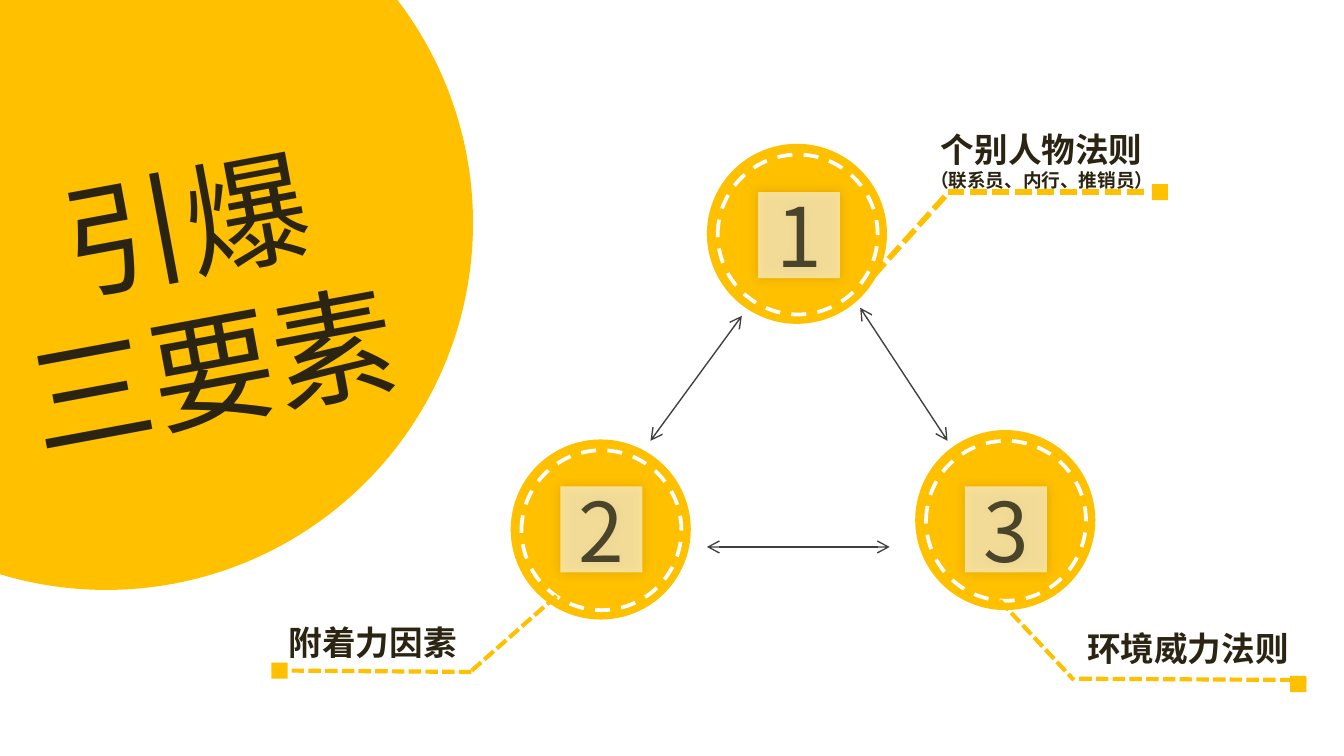
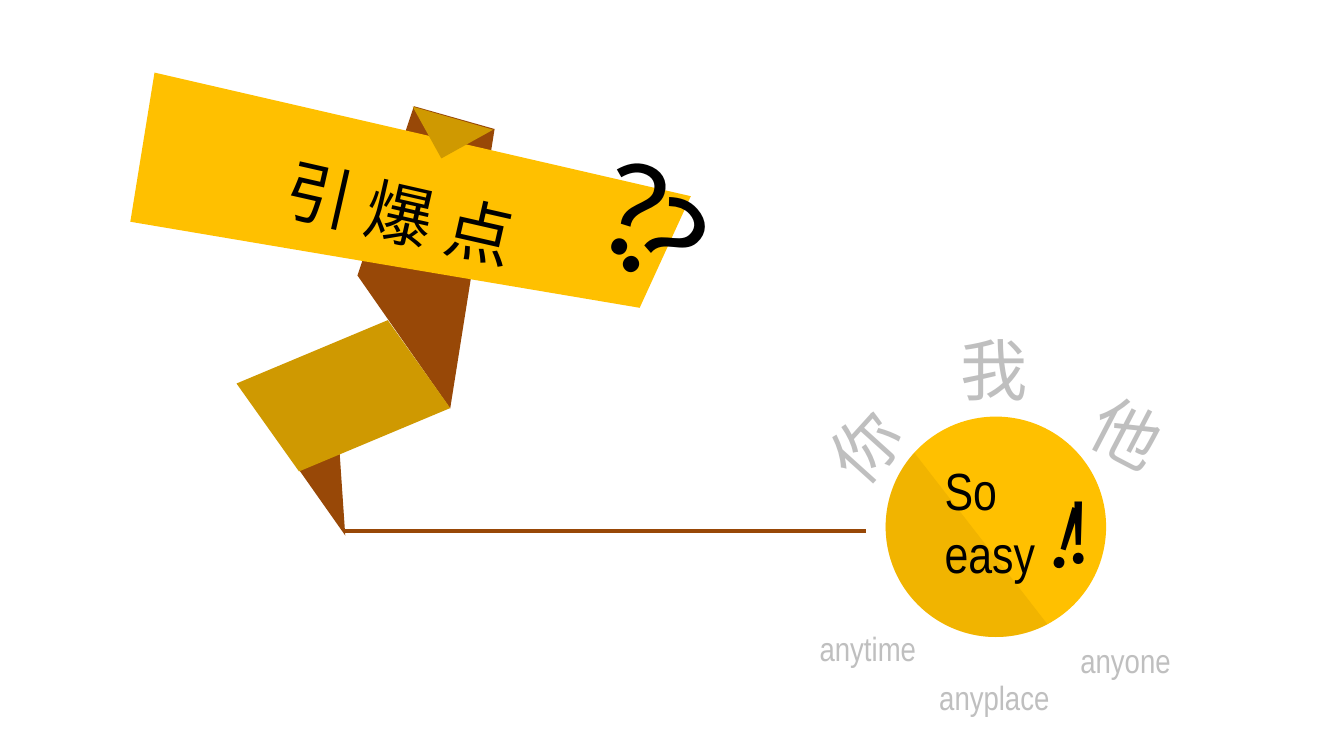
import pptx
import pptx.dml.color
import pptx.enum.dml
import pptx.enum.shapes
import pptx.enum.text
import pptx.oxml.ns
import pptx.util
from dataclasses import dataclass
from lxml import etree

PX = 9144  # EMU per px, 100 px to the inch
SLIDE_WIDTH = 1000  # px, at 16:9
MSO = pptx.enum.shapes.MSO_SHAPE
DASH = pptx.enum.dml.MSO_LINE
ALIGN = pptx.enum.text.PP_ALIGN
ANCHOR = pptx.enum.text.MSO_ANCHOR
qn = pptx.oxml.ns.qn


@dataclass(frozen=True)
class Theme:
    gold: str = "FFC000"
    ochre: str = "CF9901"
    brown: str = "984807"
    white: str = "FFFFFF"
    black: str = "000000"
    ink: str = "2B2412"
    olive: str = "4A452A"
    arrow: str = "404040"
    grey: str = "BFBFBF"
    hanzi: str = "Noto Sans CJK SC"
    latin: str = "Arial Narrow"
    huge: int = 66
    large: int = 44
    title: int = 36
    medium: int = 28
    label: int = 18
    note: int = 10


T = Theme()

# Text styles: size, colour, font, bold
HEADLINE = dict(size=T.huge, color=T.ink)
LABEL = dict(size=T.label, color=T.ink, bold=True)
NOTE = dict(LABEL, size=T.note)
NUMBER = dict(size=T.large, color=T.olive)
RIBBON_TITLE = dict(size=T.title, color=T.black)
QUESTION = dict(size=T.huge, color=T.black)
EXCLAIM = dict(size=T.large, color=T.black)
PERSON = dict(size=T.title, color=T.grey)
ANY_WORD = dict(size=T.label, color=T.grey, font=T.latin)
EASY = dict(size=T.medium, color=T.black, font=T.latin)

# ---- Content of slide 1: three elements ----
HEADLINE_LINES = ["引爆", "三要素"]
HEADLINE_BOX = (-1, 104, 298, 232)
BIG_CIRCLE = (-194, -107, 546, 546)
DISC, RING, RING_INSET = 134, 119, 8
NUMBER_SIZE = (61, 64)
ELEMENTS = [  # number, disc corner, number corner
    ("1", (526, 107), (564, 143)),
    ("2", (380, 327), (417, 362)),
    ("3", (681, 320), (718, 362)),
]
CALLOUTS = [  # lines of text, box, alignment, leader points, width, end square
    ([("个别人物法则", LABEL), ("（联系员、内行、推销员）", NOTE)], (681, 91, 188, 57),
     ALIGN.CENTER, [(650, 205, 705, 144), (705, 143, 854, 143)], 3, (857, 137)),
    ([("附着力因素", LABEL)], (205, 458, 146, 40),
     ALIGN.LEFT, [(217, 499, 351, 500), (351, 499, 427, 432)], 2.25, (202, 493)),
    ([("环境威力法则", LABEL)], (799, 462, 172, 40),
     ALIGN.LEFT, [(744, 447, 799, 506), (803, 505, 972, 506)], 2.25, (960, 503)),
]
END_SQUARE = 12
ELEMENT_ARROWS = [(484, 328, 552, 235), (526, 407, 662, 407), (640, 229, 705, 328)]

# ---- Content of slide 2: the tipping point ----
RIBBON_WORDS, RIBBON_BOX = "引 爆 点", (186, 123, 223, 71)
RIBBON_TAIL = (182, 284, 71, 117)
RIBBON_BACK = [(308, 79), (266, 205), (335, 304), (368, 96)]
RIBBON_FRONT = [(115, 54), (97, 165), (476, 229), (514, 146)]
RIBBON_CORNER = (315, 66, 44, 44)
RIBBON_FOLD = (202, 235, 107, 119)
GROUND_LINE = (256, 395, 644, 395)
BALL = (659, 310, 164, 164)
BALL_SHADE = (37.28, 133.34)
QUESTION_MARKS = [("？", (439, 94, 62, 121), 17.4), ("？", (461, 116, 62, 121), 48.7)]
PEOPLE = [("你", (609, 296), 312), ("我", (705, 239), 0), ("他", (804, 287), 27.6)]
ANY_WORDS = [("anytime", (600, 462, 105, 40)), ("anyplace", (689, 499, 116, 40)),
             ("anyone", (794, 471, 97, 40))]
EASY_LINES, EASY_BOX = ["So", "easy"], (693, 336, 96, 104)
EXCLAMATIONS = [("!", (774, 361, 62, 84), 17.4), ("!", (783, 353, 62, 84), 0)]


# ---- Helpers ----
def rgb(color):
    return pptx.dml.color.RGBColor.from_string(color)


def emu(lengths):
    return [pptx.util.Emu(n * PX) for n in lengths]


def add_xml(parent, tag, **attributes):
    return etree.SubElement(parent, qn(tag), attributes)


def paint(shape, fill=None, alpha=None, outline=None):
    shape.shadow.inherit = False
    if fill:
        shape.fill.solid()
        shape.fill.fore_color.rgb = rgb(fill)
        if alpha:
            color = shape._element.spPr.find(qn("a:solidFill"))[0]
            add_xml(color, "a:alpha", val=str(alpha * 1000))
    else:
        shape.fill.background()
    if outline:
        shape.line.color.rgb = rgb(outline)
        shape.line.width = pptx.util.Pt(2)
        shape.line.dash_style = DASH.DASH
    else:
        shape.line.fill.background()
    return shape


def draw(slide, kind, box, rotation=0, **look):
    shape = slide.shapes.add_shape(kind, *emu(box))
    shape.rotation = rotation
    return paint(shape, **look)


def draw_outline(slide, points, color):
    builder = slide.shapes.build_freeform(*points[0], scale=PX)
    builder.add_line_segments(points[1:], close=True)
    paint(builder.convert_to_shape(), color)


def draw_line(slide, ends, color, width, dashed=False, arrows=False):
    line = slide.shapes.add_connector(pptx.enum.shapes.MSO_CONNECTOR.STRAIGHT, *emu(ends))
    line.line.color.rgb = rgb(color)
    line.line.width = pptx.util.Pt(width)
    if dashed:
        line.line.dash_style = DASH.SQUARE_DOT
    if arrows:
        for end in ("a:headEnd", "a:tailEnd"):
            add_xml(line.line._get_or_add_ln(), end, type="arrow")
    add_xml(line._element.spPr, "a:effectLst")


def fill_text(shape, lines, align, anchor=ANCHOR.TOP, wrap=False, fit=True):
    frame = shape.text_frame
    sizing = pptx.enum.text.MSO_AUTO_SIZE
    settings = dict(word_wrap=wrap, vertical_anchor=anchor,
                    auto_size=sizing.SHAPE_TO_FIT_TEXT if fit else sizing.NONE)
    for name, value in settings.items():
        setattr(frame, name, value)
    for index, (words, style) in enumerate(lines):
        paragraph = frame.add_paragraph() if index else frame.paragraphs[0]
        paragraph.alignment = align
        run = paragraph.add_run()
        run.text = words
        face = style.get("font", T.hanzi)
        font_format = dict(size=pptx.util.Pt(style["size"]), name=face,
                           bold=style.get("bold", False))
        for name, value in font_format.items():
            setattr(run.font, name, value)
        run.font.color.rgb = rgb(style["color"])
        add_xml(run._r.get_or_add_rPr(), "a:ea", typeface=face)


def write(slide, lines, box, align=ALIGN.LEFT, rotation=0, wrap=False):
    label = slide.shapes.add_textbox(*emu(box))
    label.rotation = rotation
    fill_text(label, lines, align, wrap=wrap)


def place_title(slide, lines, box, rotation):
    title = slide.shapes.title
    slide.shapes._spTree.append(title._element)
    for name, value in zip(("left", "top", "width", "height"), emu(box)):
        setattr(title, name, value)
    title.rotation = rotation
    fill_text(title, lines, ALIGN.CENTER)


# ---- Slides ----
def build_elements(slide):
    for _, (x, y), _ in ELEMENTS:
        draw(slide, MSO.OVAL, (x, y, DISC, DISC), fill=T.gold)
        draw(slide, MSO.OVAL, (x + RING_INSET, y + RING_INSET, RING, RING), outline=T.white)

    # Headline on the big circle
    draw(slide, MSO.OVAL, BIG_CIRCLE, fill=T.gold)
    place_title(slide, [(words, HEADLINE) for words in HEADLINE_LINES], HEADLINE_BOX, 349.5)

    # Callouts with dashed leaders
    for lines, box, align, leader, width, corner in CALLOUTS:
        write(slide, lines, box, align)
        for ends in leader:
            draw_line(slide, ends, T.gold, width, dashed=True)
        draw(slide, MSO.RECTANGLE, (*corner, END_SQUARE, END_SQUARE), fill=T.gold)

    for ends in ELEMENT_ARROWS:
        draw_line(slide, ends, T.arrow, 0.75, arrows=True)

    # Numbers on translucent squares with a soft shadow
    for number, _, corner in ELEMENTS:
        square = draw(slide, MSO.RECTANGLE, (*corner, *NUMBER_SIZE), fill=T.white, alpha=59)
        effects = square._element.spPr.find(qn("a:effectLst"))
        shadow = add_xml(effects, "a:outerShdw", blurRad=str(pptx.util.Pt(6)), dist="0",
                         dir=str(315 * 60000), algn="ctr", rotWithShape="0")
        add_xml(add_xml(shadow, "a:srgbClr", val=T.black), "a:alpha", val="20000")
        fill_text(square, [(number, NUMBER)], ALIGN.CENTER, ANCHOR.MIDDLE, wrap=True, fit=False)


def build_tipping_point(slide):
    # Folded ribbon
    draw(slide, MSO.RIGHT_TRIANGLE, RIBBON_TAIL, 176.1, fill=T.brown)
    draw_outline(slide, RIBBON_BACK, T.brown)
    draw_outline(slide, RIBBON_FRONT, T.gold)
    place_title(slide, [(RIBBON_WORDS, RIBBON_TITLE)], RIBBON_BOX, 12.8)
    draw(slide, MSO.RIGHT_TRIANGLE, RIBBON_CORNER, 331, fill=T.ochre)
    draw(slide, MSO.PARALLELOGRAM, RIBBON_FOLD, 234.6, fill=T.ochre)
    for mark, box, rotation in QUESTION_MARKS:
        write(slide, [(mark, QUESTION)], box, rotation=rotation, wrap=True)
    draw_line(slide, GROUND_LINE, T.brown, 2.25)

    # Ball with its shaded half
    draw(slide, MSO.OVAL, BALL, fill=T.gold)
    shade = draw(slide, MSO.CHORD, BALL, fill=T.ochre, alpha=29)
    for index, turn in enumerate(BALL_SHADE):
        shade.adjustments[index] = turn

    # Words around and on the ball
    for person, corner, rotation in PEOPLE:
        write(slide, [(person, PERSON)], (*corner, 71, 71), rotation=rotation)
    for word, box in ANY_WORDS:
        write(slide, [(word, ANY_WORD)], box)
    write(slide, [(words, EASY) for words in EASY_LINES], EASY_BOX)
    for mark, box, rotation in EXCLAMATIONS:
        write(slide, [(mark, EXCLAIM)], box, rotation=rotation, wrap=True)


def main():
    deck = pptx.Presentation()
    deck.slide_width = pptx.util.Emu(SLIDE_WIDTH * PX)
    deck.slide_height = pptx.util.Emu(SLIDE_WIDTH * PX * 9 // 16)
    for build in (build_elements, build_tipping_point):
        build(deck.slides.add_slide(deck.slide_layouts[5]))
    deck.save("out.pptx")


if __name__ == "__main__":
    main()
